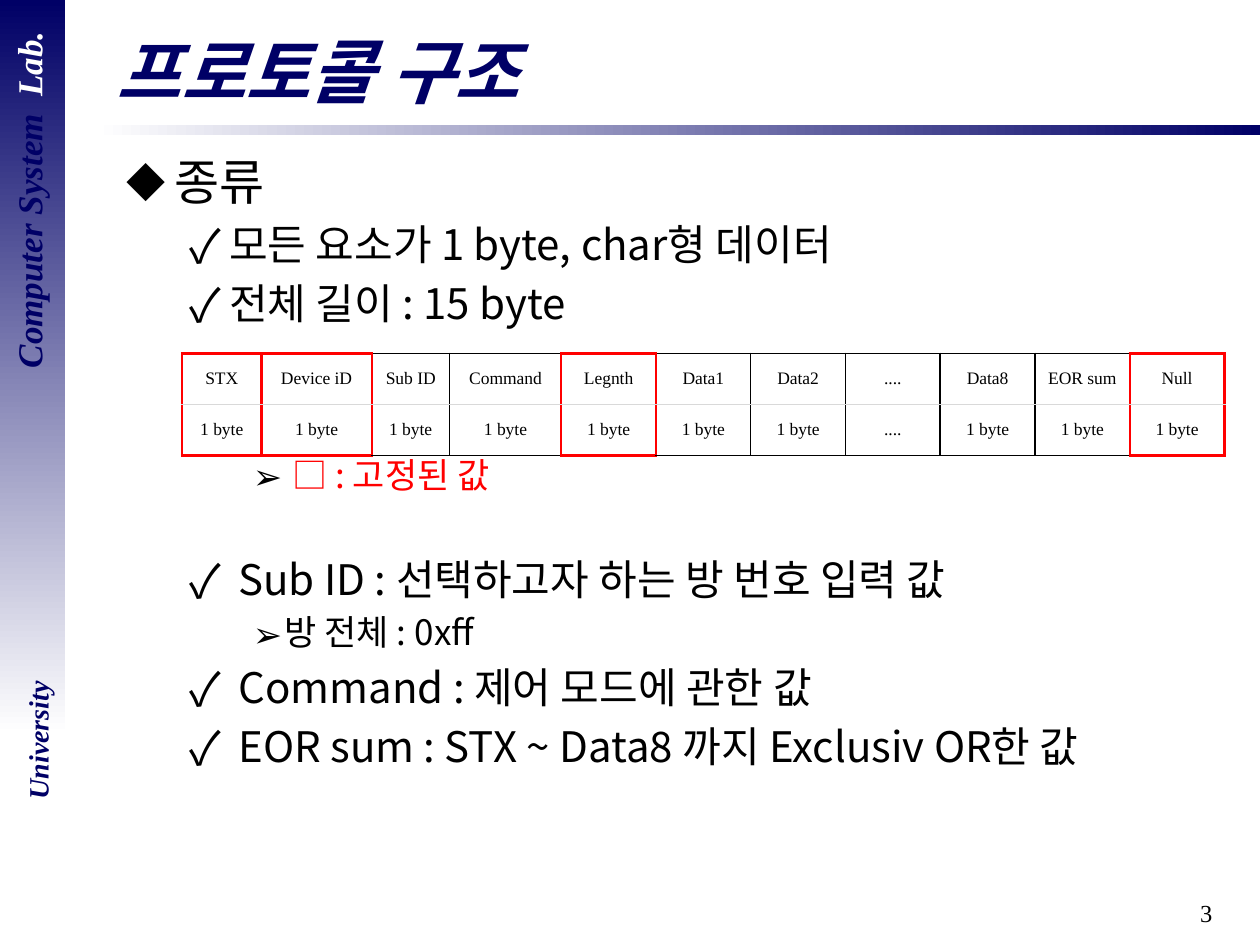
from lxml.etree import SubElement
from pptx import Presentation
from pptx.dml.color import RGBColor as Rgb
from pptx.enum.shapes import MSO_SHAPE as Shape
from pptx.enum.text import MSO_ANCHOR as Anchor, PP_ALIGN as Align
from pptx.oxml.ns import qn
from pptx.util import Inches, Pt

COLORS = {"navy": "000066", "white": "FFFFFF", "black": "000000",
          "red": "FF0000", "grey": "D9D9D9"}
SERIF, SANS = "Times New Roman", "Noto Sans CJK KR"

deck = Presentation()
deck.slide_width, deck.slide_height = Inches(10), Inches(7.5)
page = deck.slides.add_slide(deck.slide_layouts[6])
COL, ROW = deck.slide_width / 100, deck.slide_height / 75


def area(left, top, width, height):
    """Turn grid columns and rows into slide lengths."""
    return int(left * COL), int(top * ROW), int(width * COL), int(height * ROW)


def style(para, size, face, color, strong=False):
    """Set the paragraph font for Latin and Korean letters alike."""
    font = para.font
    font.size, font.name = Pt(size), face
    font.color.rgb = Rgb.from_string(COLORS[color])
    if strong:
        font.bold = font.italic = True
    defaults = para._p.get_or_add_pPr().find(qn("a:defRPr"))
    SubElement(defaults, qn("a:ea")).set("typeface", face)


# Gradient bands: title rule and side bar
for place, angle, colors in [
    ((7.5, 9.9, 92.5, 0.8), 0, ("white", "navy")),
    ((0, 0, 5.15, 58.3), 270, ("navy", "white")),
]:
    band = page.shapes.add_shape(Shape.RECTANGLE, *area(*place))
    band.shadow.inherit = False
    band.line.fill.background()
    band.fill.gradient()
    band.fill.gradient_angle = angle
    for stop, color in zip(band.fill.gradient_stops, colors):
        stop.color.rgb = Rgb.from_string(COLORS[color])

# Single-line labels; a span with its own colour overrides the paragraph
for place, turn, align, anchor, size, face, color, strong, spans in [
    ((76.4, 70.8, 20.8, 4.2), 0, Align.RIGHT, Anchor.TOP, 14, SERIF, "black", False,
     [("3", None)]),
    ((-13.1, 13.7, 30.7, 4.3), 270, Align.CENTER, Anchor.TOP, 20, SERIF, "navy", True,
     [("Computer System  ", None), ("Lab.", "white")]),
    ((-4.1, 56.9, 14.2, 3.7), 270, Align.CENTER, Anchor.TOP, 16, SERIF, "navy", True,
     [("University", None)]),
    ((8.3, 1.75, 89, 7.7), 0, Align.LEFT, Anchor.MIDDLE, 40, SANS, "navy", True,
     [("프로토콜 구조", None)]),
]:
    box = page.shapes.add_textbox(*area(*place))
    box.rotation = turn
    frame = box.text_frame
    frame.word_wrap, frame.vertical_anchor = True, anchor
    para = frame.paragraphs[0]
    para.alignment = align
    style(para, size, face, color, strong)
    for text, span_color in spans:
        span = para.add_run()
        span.text = text
        if span_color:
            span.font.color.rgb = Rgb.from_string(COLORS[span_color])

# Bulleted body: level -> (size, bullet, bullet percent, margin, hanging indent)
LEVELS = [(28, "◆", 80, 0.38, 0.38), (24, "✓", 110, 0.81, 0.31),
          (20, "➢", 100, 1.25, 0.25)]
# Each line: level, space before as a share of the size, spans
LINES = [
    (0, 0, [("종류", "black")]),
    (1, 0.2, [("모든 요소가 1 byte, char형 데이터", "black")]),
    (1, 0.2, [("전체 길이 : 15 byte", "black")]),
    (2, 3.6, [(" ", "black"), ("□ : 고정된 값", "red")]),
    (1, 1.38, [(" Sub ID : 선택하고자 하는 방 번호 입력 값", "black")]),
    (2, 0.2, [("방 전체 : 0xff", "black")]),
    (1, 0.2, [(" Command : 제어 모드에 관한 값", "black")]),
    (1, 0.2, [(" EOR sum : STX ~ Data8 까지 Exclusiv OR한 값", "black")]),
]
body = page.shapes.add_textbox(*area(9.1, 11.5, 87.4, 57.7)).text_frame
body.word_wrap = True
for index, (level, gap, spans) in enumerate(LINES):
    size, bullet, percent, margin, hang = LEVELS[level]
    para = body.add_paragraph() if index else body.paragraphs[0]
    para.level = level
    para.space_before = Pt(round(gap * size, 1))
    props = para._p.get_or_add_pPr()
    props.set("marL", str(Inches(margin)))
    props.set("indent", str(-Inches(hang)))
    SubElement(props, qn("a:buSzPct")).set("val", str(percent * 1000))
    SubElement(props, qn("a:buFont")).set("typeface", SANS)
    SubElement(props, qn("a:buChar")).set("char", bullet)
    style(para, size, SANS, "black")
    for text, color in spans:
        span = para.add_run()
        span.text = text
        if color != "black":
            span.font.color.rgb = Rgb.from_string(COLORS[color])

# Packet table: fixed fields are framed in red
FIELDS = ["STX", "Device iD", "Sub ID", "Command", "Legnth", "Data1", "Data2",
          "....", "Data8", "EOR sum", "Null"]
FIXED = {"STX", "Device iD", "Legnth", "Null"}
WIDTHS = [6.3, 8.75, 6.2, 8.85] + [7.52] * 7
sizes = ["...." if field == "...." else "1 byte" for field in FIELDS]
table = page.shapes.add_table(
    2, len(FIELDS), *area(14.45, 28.05, sum(WIDTHS), 8.1)).table
table.first_row = table.horz_banding = False
for column, width in zip(table.columns, WIDTHS):
    column.width = int(width * COL)
fixed = [field in FIXED for field in FIELDS]
for row, texts in enumerate([FIELDS, sizes]):
    for col, text in enumerate(texts):
        cell = table.cell(row, col)
        cell.text = text
        cell.vertical_anchor = Anchor.MIDDLE
        cell.margin_left = cell.margin_right = Inches(0.05)
        para = cell.text_frame.paragraphs[0]
        para.alignment = Align.CENTER
        style(para, 10, SERIF, "black")
        outer = "red" if fixed[col] else "black"
        left = "red" if any(fixed[max(col - 1, 0):col + 1]) else "black"
        right = "red" if any(fixed[col:col + 2]) else "black"
        top, bottom = (outer, "grey") if row == 0 else ("grey", outer)
        props = cell._tc.get_or_add_tcPr()
        for side, color in zip("LRTB", (left, right, top, bottom)):
            line = SubElement(props, qn(f"a:ln{side}"))
            line.set("w", str(Pt(1.5 if color == "red" else 1)))
            ink = SubElement(line, qn("a:solidFill"))
            SubElement(ink, qn("a:srgbClr")).set("val", COLORS[color])
        cell.fill.solid()
        cell.fill.fore_color.rgb = Rgb.from_string(COLORS["white"])

deck.save("out.pptx")
